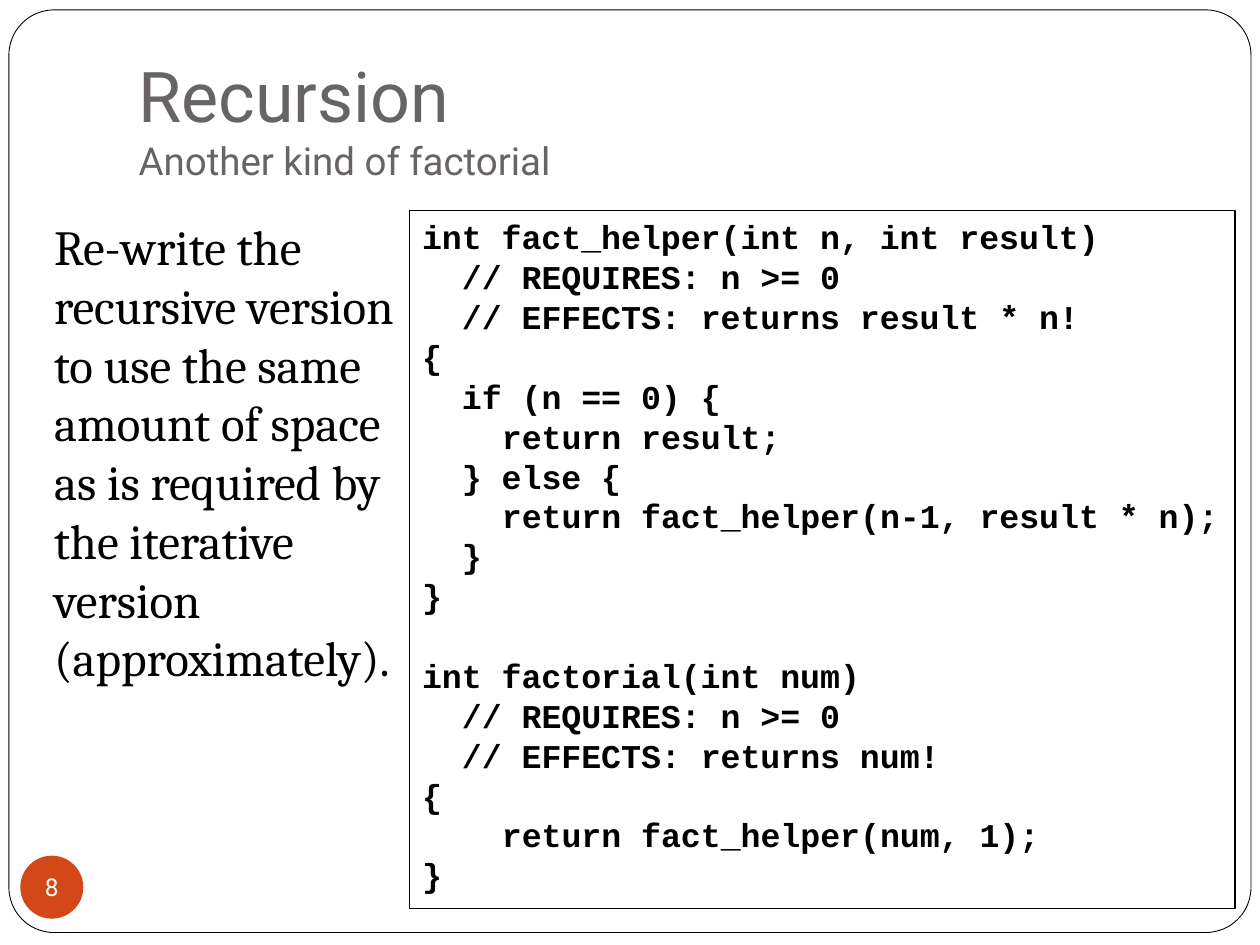
"""Build a slide about a tail-recursive factorial."""
from pptx import Presentation
from pptx.dml.color import RGBColor
from pptx.enum.shapes import MSO_SHAPE
from pptx.enum.text import MSO_ANCHOR, MSO_AUTO_SIZE, PP_ALIGN
from pptx.util import Cm, Pt

BLACK = RGBColor(0x00, 0x00, 0x00)
WHITE = RGBColor(0xFF, 0xFF, 0xFF)
GREY = RGBColor(0x69, 0x64, 0x64)
ORANGE = RGBColor(0xD3, 0x48, 0x17)
LEFT, CENTER = PP_ALIGN.LEFT, PP_ALIGN.CENTER
TOP, MIDDLE, BOTTOM = MSO_ANCHOR.TOP, MSO_ANCHOR.MIDDLE, MSO_ANCHOR.BOTTOM
NO_AUTOFIT = MSO_AUTO_SIZE.NONE
RECTANGLE, OVAL = MSO_SHAPE.RECTANGLE, MSO_SHAPE.OVAL
ROUNDED = MSO_SHAPE.ROUNDED_RECTANGLE
TITLE_ONLY = 5
LINE_FACTOR = 1.2
CODE_SIZE = 19
INDENT = Pt(22.8)

TASK = ("Re-write the recursive version to use the same amount of space "
        "as is required by the iterative version (approximately).")
FUNCTIONS = [
    [(0, "int fact_helper(int n, int result)"),
     (1, "// REQUIRES: n >= 0"),
     (1, "// EFFECTS: returns result * n!"),
     (0, "{"),
     (1, "if (n == 0) {"),
     (2, "return result;"),
     (1, "} else {"),
     (2, "return fact_helper(n-1, result * n);"),
     (1, "}"),
     (0, "}")],
    [(0, "int factorial(int num)"),
     (1, "// REQUIRES: n >= 0"),
     (1, "// EFFECTS: returns num!"),
     (0, "{"),
     (2, "return fact_helper(num, 1);"),
     (0, "}")],
]


def format_run(run, font, size, color, bold=False):
    """Set the character formatting of a run."""
    run.font.name = font
    run.font.size = Pt(size)
    run.font.color.rgb = color
    run.font.bold = bold


def add_box(slide, kind, bounds, fill=None, line_width=None):
    """Add a flat shape with an optional fill and black outline."""
    shape = slide.shapes.add_shape(kind, *(Cm(value) for value in bounds))
    shape.shadow.inherit = False
    if fill is None:
        shape.fill.background()
    else:
        shape.fill.solid()
        shape.fill.fore_color.rgb = fill
    if line_width is None:
        shape.line.fill.background()
    else:
        shape.line.color.rgb = BLACK
        shape.line.width = Pt(line_width)
    return shape


def add_frame(slide):
    """Add the rounded page frame behind everything else."""
    frame = add_box(slide, ROUNDED, (0.18, 0.2, 25.04, 18.6), WHITE, 0.5)
    frame.adjustments[0] = 0.049
    frame.element.getparent().insert(2, frame.element)


def fill_title(slide, heading, subheading):
    """Place the title with its smaller second line."""
    title = slide.shapes.title
    title.left, title.top = Cm(2.54), Cm(0.76)
    title.width, title.height = Cm(21.59), Cm(3.18)
    frame = title.text_frame
    frame.text = f"{heading}\v{subheading}"
    frame.auto_size = NO_AUTOFIT
    frame.vertical_anchor = BOTTOM
    frame.margin_bottom = Cm(0.25)
    paragraph = frame.paragraphs[0]
    paragraph.alignment = LEFT
    for run, size in zip(paragraph.runs, (40, 22)):
        format_run(run, "Roboto", size, GREY)


def add_task(slide):
    """Add the exercise text on the left."""
    box = slide.shapes.add_textbox(Cm(0.84), Cm(4.24), Cm(7.42), Cm(8.64))
    box.text_frame.word_wrap = True
    box.text_frame.text = TASK
    paragraph = box.text_frame.paragraphs[0]
    paragraph.line_spacing = Pt(28 * LINE_FACTOR)
    format_run(paragraph.runs[0], "Cambria", 28, BLACK)


def add_code(slide):
    """Add the outlined code listing with indented lines."""
    box = add_box(slide, RECTANGLE, (8.26, 4.24, 16.64, 14.07), line_width=0.75)
    frame = box.text_frame
    frame.word_wrap = True
    frame.vertical_anchor = TOP
    lines = [line for function in FUNCTIONS for line in function]
    frame.text = "\n".join(text for _, text in lines)
    line_height = Pt(CODE_SIZE * LINE_FACTOR)
    for paragraph, (level, _) in zip(frame.paragraphs, lines):
        paragraph.alignment = LEFT
        paragraph.line_spacing = line_height
        properties = paragraph._p.get_or_add_pPr()
        properties.set("marL", str(level * INDENT))
        properties.set("indent", "0")
        format_run(paragraph.runs[0], "Courier New", CODE_SIZE, BLACK, True)
    frame.paragraphs[len(FUNCTIONS[0])].space_before = line_height


def add_page_number(slide, number):
    """Add the round page number badge."""
    badge = add_box(slide, OVAL, (0.41, 17.25, 1.27, 1.27), ORANGE)
    frame = badge.text_frame
    frame.margin_left = frame.margin_right = 0
    frame.margin_top = frame.margin_bottom = 0
    frame.word_wrap = False
    frame.vertical_anchor = MIDDLE
    frame.text = str(number)
    paragraph = frame.paragraphs[0]
    paragraph.alignment = CENTER
    format_run(paragraph.runs[0], "Roboto", 14, WHITE)


def main():
    """Build and save the presentation."""
    presentation = Presentation()
    presentation.slide_width, presentation.slide_height = Cm(25.4), Cm(19.05)
    slide = presentation.slides.add_slide(presentation.slide_layouts[TITLE_ONLY])
    add_frame(slide)
    fill_title(slide, "Recursion", "Another kind of factorial")
    add_code(slide)
    add_task(slide)
    add_page_number(slide, 8)
    presentation.save("out.pptx")


main()
